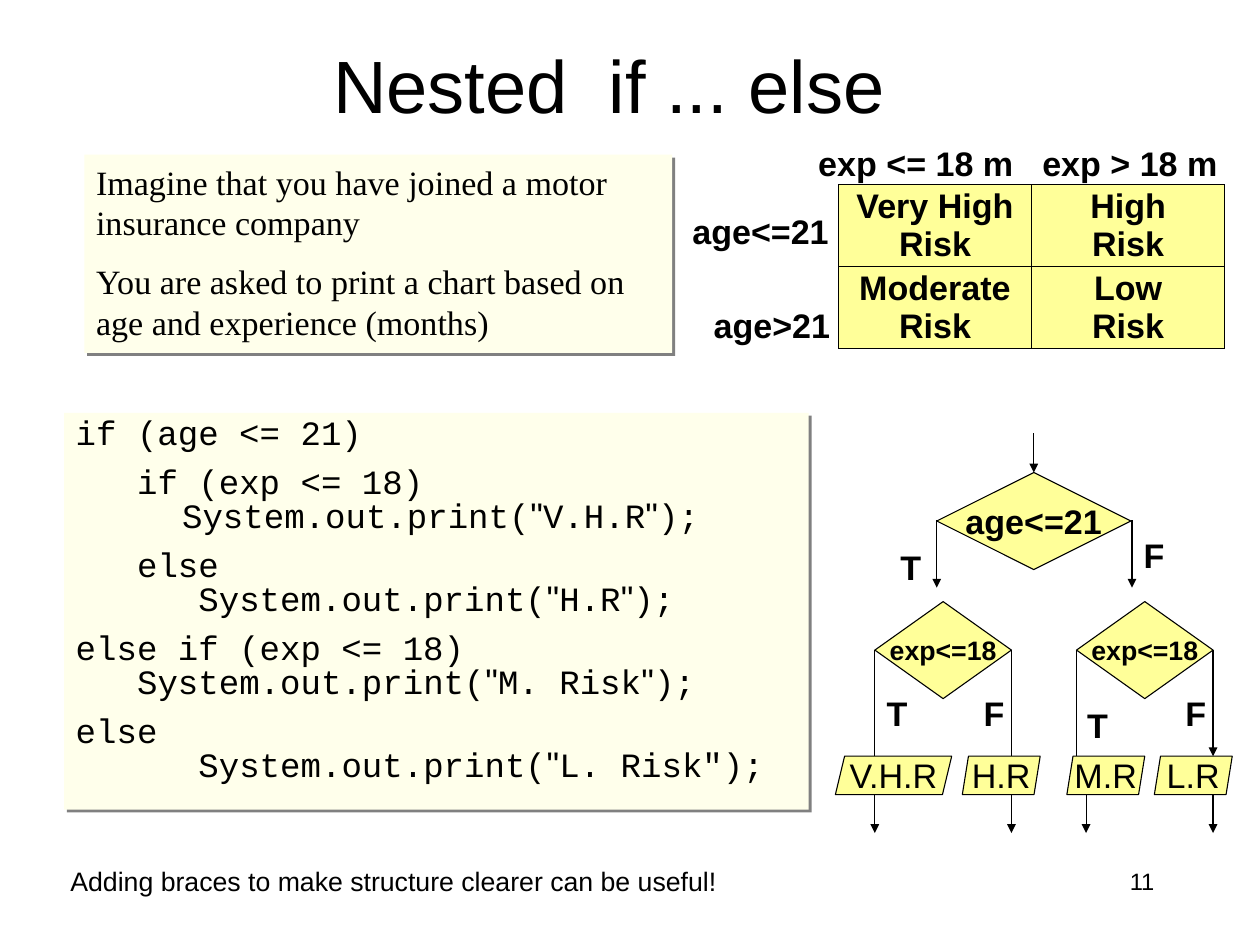
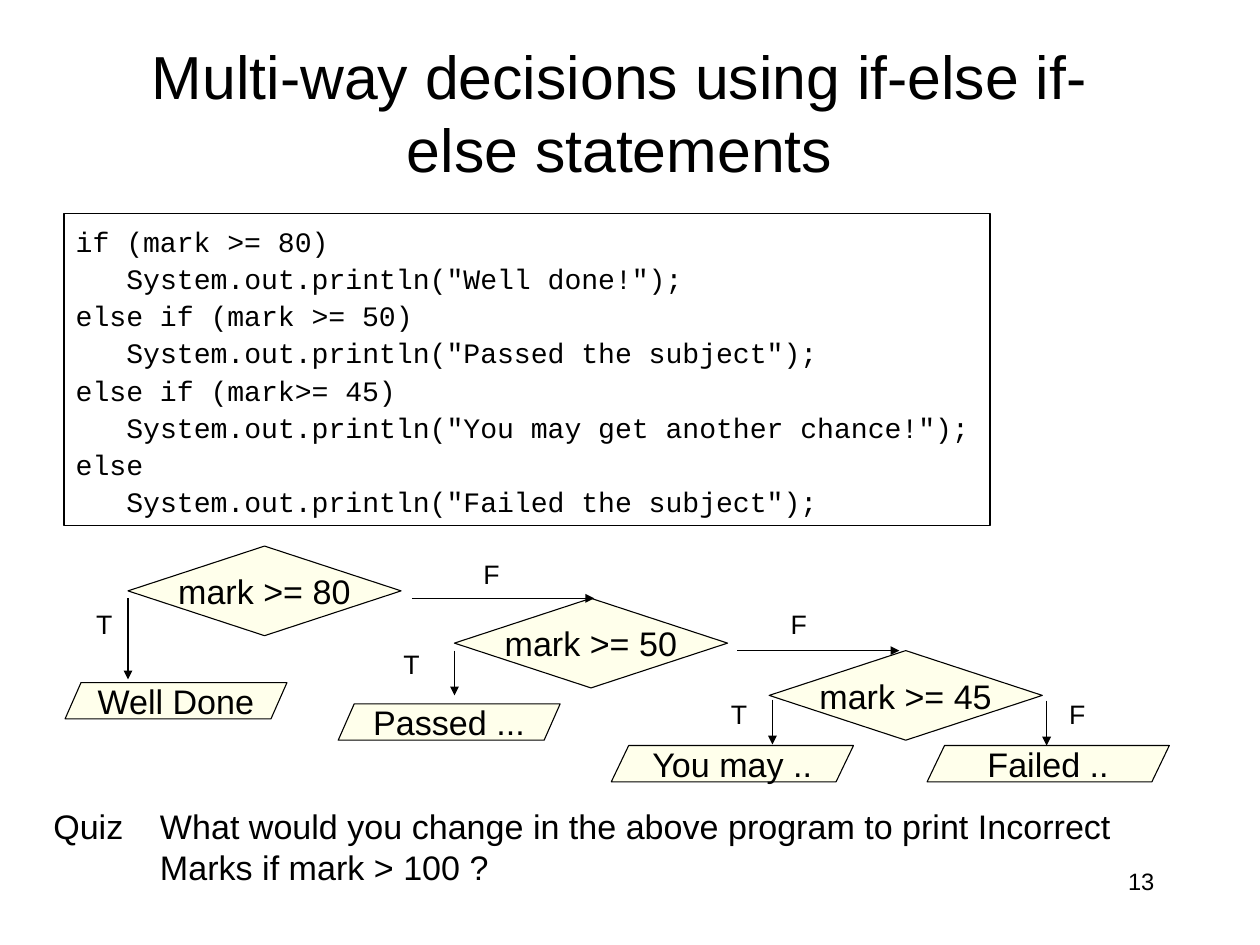
from lxml.etree import SubElement
from pptx import Presentation
from pptx.dml.color import RGBColor
from pptx.enum.shapes import MSO_CONNECTOR, MSO_SHAPE
from pptx.enum.text import MSO_ANCHOR, MSO_AUTO_SIZE, PP_ALIGN
from pptx.oxml.ns import qn
from pptx.util import Inches, Pt


def color(value):
    return RGBColor.from_string(value)


class Deck:
    black, yellow, cream, gray = "000000", "FFFF99", "FFFFEB", "808080"
    sans, serif, mono = "Arial", "Times New Roman", "Courier New"
    line_width = Pt(0.75)

    def __init__(self, width, height):
        self.presentation = Presentation()
        self.presentation.slide_width = Inches(width)
        self.presentation.slide_height = Inches(height)
        self.slide = None

    def add_slide(self, title, box, size, number):
        layout = self.presentation.slide_layouts[5]
        self.slide = self.presentation.slides.add_slide(layout)
        shape = self.slide.shapes.title
        shape.left, shape.top, shape.width, shape.height = map(Inches, box)
        self.set_text(shape, [title], size, align=PP_ALIGN.CENTER, anchor=MSO_ANCHOR.MIDDLE)
        self.label(number, (8.47, 8.07, 2.46, 0.59), 16, align=PP_ALIGN.RIGHT)

    def style(self, paragraph, size, name=sans, bold=False, align=PP_ALIGN.LEFT):
        paragraph.alignment = align
        font = paragraph.font
        font.name, font.size, font.bold = name, Pt(size), bold
        font.color.rgb = color(self.black)

    def set_text(self, shape, lines, size, name=sans, bold=False, align=PP_ALIGN.LEFT,
                 anchor=MSO_ANCHOR.TOP, wrap=True):
        frame = shape.text_frame
        frame.auto_size = MSO_AUTO_SIZE.NONE
        frame.word_wrap = wrap
        frame.vertical_anchor = anchor
        frame.margin_left = frame.margin_right = Inches(0.11)
        frame.margin_top = frame.margin_bottom = Inches(0.06)
        frame.text = "\n".join(lines)
        for paragraph in frame.paragraphs:
            self.style(paragraph, size, name, bold, align)
        return frame.paragraphs

    def label(self, text, box, size=23, **options):
        shape = self.slide.shapes.add_textbox(*map(Inches, box))
        return self.set_text(shape, [text], size, **options)

    def shape(self, kind, box, fill=None, outlined=True):
        shape = self.slide.shapes.add_shape(kind, *map(Inches, box))
        shape.shadow.inherit = False
        if fill:
            shape.fill.solid()
            shape.fill.fore_color.rgb = color(fill)
        else:
            shape.fill.background()
        if outlined:
            shape.line.color.rgb = color(self.black)
            shape.line.width = self.line_width
        else:
            shape.line.fill.background()
        return shape

    def panel(self, box):
        shape = self.shape(MSO_SHAPE.RECTANGLE, box, self.cream, outlined=False)
        effects = shape.element.spPr.find(qn("a:effectLst"))
        shadow = SubElement(effects, qn("a:outerShdw"), dist=str(Pt(2.8)),
                            dir="2700000", algn="ctr", rotWithShape="0")
        SubElement(shadow, qn("a:srgbClr"), val=self.gray)
        return shape

    def decision(self, text, box, fill, size=23, bold=False):
        shape = self.shape(MSO_SHAPE.DIAMOND, box, fill)
        self.set_text(shape, [text], size, bold=bold, align=PP_ALIGN.CENTER,
                      anchor=MSO_ANCHOR.MIDDLE, wrap=False)

    def output(self, text, box, fill, slant):
        shape = self.shape(MSO_SHAPE.PARALLELOGRAM, box, fill)
        shape.adjustments[0] = slant
        self.set_text(shape, [text], 23, align=PP_ALIGN.CENTER,
                      anchor=MSO_ANCHOR.MIDDLE, wrap=False)

    def arrow(self, *ends):
        connector = self.slide.shapes.add_connector(MSO_CONNECTOR.STRAIGHT, *map(Inches, ends))
        connector.line.color.rgb = color(self.black)
        connector.line.width = self.line_width
        properties = connector.element.spPr
        SubElement(properties.find(qn("a:ln")), qn("a:tailEnd"), type="triangle")
        SubElement(properties, qn("a:effectLst"))

    def code(self, shape, lines, size, spacing, anchor=MSO_ANCHOR.TOP):
        paragraphs = self.set_text(shape, [""] * len(lines), size, self.mono, anchor=anchor)
        for paragraph, (indent, gap, text) in zip(paragraphs, lines):
            paragraph.line_spacing = spacing
            paragraph.space_before = Pt(gap)
            margin = Pt(indent * size * 0.6)
            paragraph._p.get_or_add_pPr().set("marL", str(margin))
            for position, part in enumerate(text.split("|")):
                run = paragraph.add_run()
                run.text = part
                if position % 2:
                    run.font.name, run.font.size = self.sans, Pt(24)

    def table(self, rows, box):
        frame = self.slide.shapes.add_table(len(rows), len(rows[0]), *map(Inches, box))
        table = frame.table
        table.first_row = table.horz_banding = False
        for row, texts in enumerate(rows):
            for column, text in enumerate(texts):
                cell = table.cell(row, column)
                cell.text = text
                cell.vertical_anchor = MSO_ANCHOR.MIDDLE
                cell.margin_left = cell.margin_right = 0
                cell.margin_top = cell.margin_bottom = 0
                for paragraph in cell.text_frame.paragraphs:
                    self.style(paragraph, 23, bold=True, align=PP_ALIGN.CENTER)
                for side in ("lnL", "lnR", "lnT", "lnB"):
                    border = SubElement(cell._tc.get_or_add_tcPr(), qn("a:" + side),
                                        w=str(self.line_width))
                    fill = SubElement(border, qn("a:solidFill"))
                    SubElement(fill, qn("a:srgbClr"), val=self.black)
                cell.fill.solid()
                cell.fill.fore_color.rgb = color(self.yellow)


def build_nested(deck):
    deck.add_slide("Nested  if ... else", (0.69, 0.3, 10.04, 0.98), 50, "11")
    task = deck.set_text(deck.panel((0.79, 1.45, 5.51, 1.86)), [
        "Imagine that you have joined a motor insurance company",
        "You are asked to print a chart based on age and experience (months)",
    ], 23, deck.serif)
    task[1].space_before = Pt(12)

    deck.table([["Very High\nRisk", "High\nRisk"], ["Moderate\nRisk", "Low\nRisk"]],
               (7.86, 1.73, 3.62, 1.54))
    for text, left, top in [("exp <= 18 m", 7.56, 1.28), ("exp > 18 m", 9.66, 1.28),
                            ("age<=21", 6.38, 1.91), ("age>21", 6.58, 2.79)]:
        deck.label(text, (left, top, 2.1, 0.52), bold=True)

    deck.code(deck.panel((0.6, 3.87, 6.98, 3.72)), [
        (0, 0, "if (age <= 21)"),
        (3, 11, "if (exp <= 18)"),
        (5.2, 0, 'System.out.print(|"|V.H.R|"|);'),
        (3, 11, "else"),
        (6, 0, 'System.out.print(|"|H.R|"|);'),
        (0, 11, "else if (exp <= 18)"),
        (3, 0, 'System.out.print(|"|M. Risk|"|);'),
        (0, 11, "else"),
        (6, 0, 'System.out.print(|"|L. Risk");'),
    ], 23, 0.8)

    deck.arrow(9.69, 4.06, 9.69, 4.43)
    deck.decision("age<=21", (8.78, 4.43, 1.82, 0.91), deck.yellow, bold=True)
    for side in (8.78, 10.61):
        deck.arrow(side, 4.88, side, 5.51)

    for left, true_exit, false_end in [(8.2, 8.2, 7.36), (10.09, 10.18, 7.09)]:
        right = left + 1.28
        deck.arrow(left, 6.09, left, 7.36)
        deck.arrow(right, 6.09, right, false_end)
        deck.arrow(true_exit, 7.45, true_exit, 7.81)
        deck.arrow(right, 7.45, right, 7.81)
        deck.decision("exp<=18", (left, 5.64, 1.28, 0.91), deck.yellow, 18, bold=True)

    for text, left, width, slant in [("V.H.R", 7.83, 1.09, 0.24), ("H.R", 9.02, 0.73, 0.16),
                                     ("M.R", 10, 0.73, 0.16), ("L.R", 10.82, 0.73, 0.16)]:
        deck.output(text, (left, 7.09, width, 0.36), deck.yellow, slant)
    for text, left, top in [("T", 8.33, 5.06), ("F", 10.61, 4.95), ("T", 8.2, 6.43),
                            ("F", 9.11, 6.43), ("T", 10.08, 6.54), ("F", 11, 6.43)]:
        deck.label(text, (left, top, 0.46, 0.49), bold=True)
    deck.label("Adding braces to make structure clearer can be useful!",
               (0.55, 8.05, 6.46, 0.4), 18)


def build_multiway(deck):
    deck.add_slide("Multi-way decisions using if-else if-else statements",
                   (1.07, 0.8, 9.48, 0.49), 41, "13")
    deck.code(deck.shape(MSO_SHAPE.RECTANGLE, (0.6, 2, 8.68, 2.93)), [
        (0, 0, "if (mark >= 80)"),
        (3, 0, 'System.out.println("Well done!");'),
        (0, 0, "else if (mark >= 50)"),
        (3, 0, 'System.out.println("Passed the subject");'),
        (0, 0, "else if (mark>= 45)"),
        (3, 0, 'System.out.println("You may get another chance!");'),
        (0, 0, "else"),
        (3, 0, 'System.out.println("Failed the subject");'),
    ], 19, 1.1, MSO_ANCHOR.MIDDLE)

    for step, (limit, left) in enumerate([(80, 1.2), (50, 4.26), (45, 7.21)]):
        deck.decision(f"mark >= {limit}", (left, 5.12 + 0.49 * step, 2.56, 0.84), deck.cream)
    for ends in [(1.2, 5.61, 1.2, 6.37), (3.86, 5.61, 5.57, 5.61), (6.91, 6.1, 8.43, 6.1),
                 (4.26, 6.1, 4.26, 6.52), (7.24, 6.56, 7.24, 6.98), (9.81, 6.57, 9.81, 6.99)]:
        deck.arrow(*ends)
    for text, left, top, width, slant in [
            ("Well Done", 0.61, 6.4, 2.08, 0.44), ("Passed ...", 3.17, 6.6, 2.08, 0.44),
            ("You may ..", 5.73, 6.99, 2.27, 0.48), ("Failed ..", 8.69, 6.99, 2.27, 0.48)]:
        deck.output(text, (left, top, width, 0.34), deck.cream, slant)
    for text, left, top in [("T", 0.79, 5.64), ("T", 3.67, 6.01), ("T", 6.74, 6.48),
                            ("F", 4.42, 5.17), ("F", 7.3, 5.64), ("F", 9.91, 6.48)]:
        deck.label(text, (left, top, 0.38, 0.42), 18)

    quiz = deck.label("Quiz\tWhat would you change in the above program to print "
                      "Incorrect Marks if mark > 100 ?", (0.39, 7.48, 10.56, 0.91),
                      anchor=MSO_ANCHOR.MIDDLE)
    properties = quiz[0]._p.get_or_add_pPr()
    properties.set("marL", str(Inches(1)))
    properties.set("indent", str(Inches(-1)))


deck = Deck(11.81, 8.86)
build_nested(deck)
build_multiway(deck)
deck.presentation.save("out.pptx")
